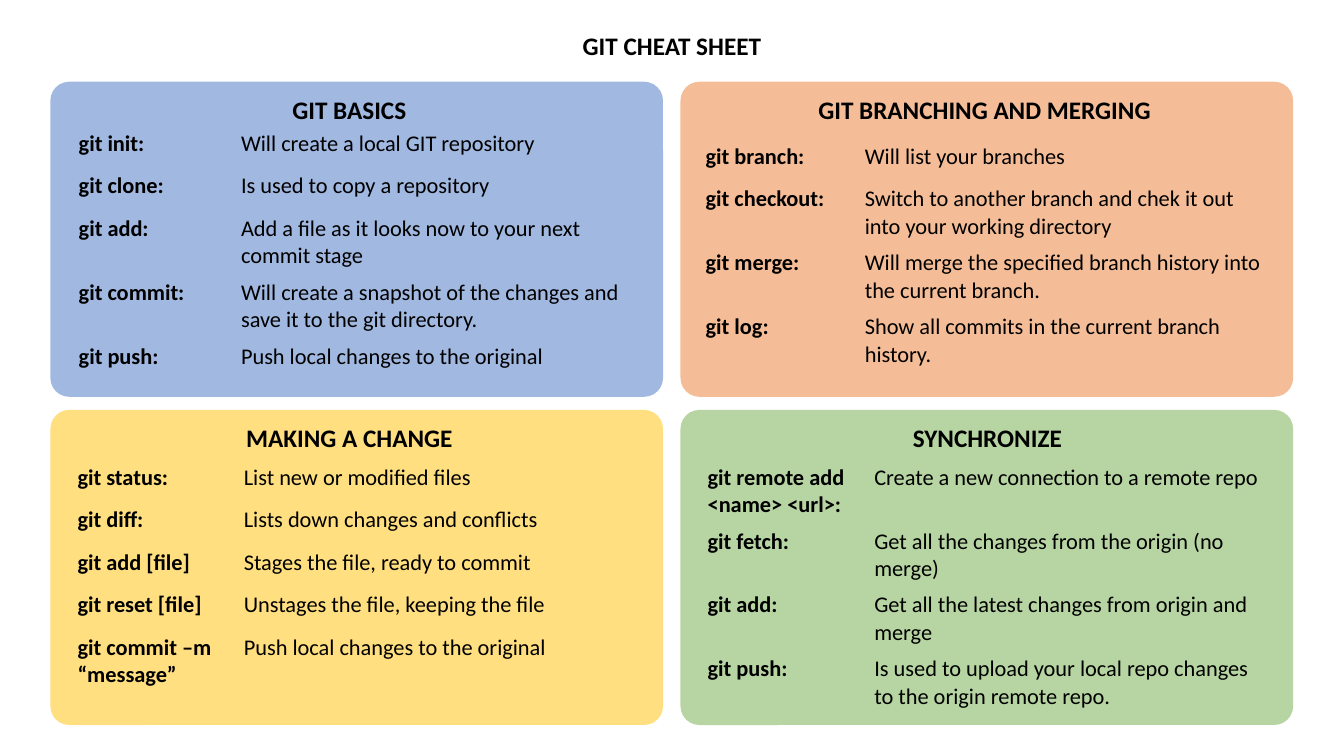
from dataclasses import dataclass

from lxml import etree
from pptx import Presentation
from pptx.dml.color import RGBColor
from pptx.enum.shapes import MSO_SHAPE
from pptx.enum.text import MSO_AUTO_SIZE, PP_ALIGN
from pptx.oxml.ns import qn
from pptx.util import Cm, Pt

ROUNDED = MSO_SHAPE.ROUNDED_RECTANGLE
CENTER = PP_ALIGN.CENTER
GROW = MSO_AUTO_SIZE.SHAPE_TO_FIT_TEXT
PLAIN_TABLE_STYLE = "{2D5ABB26-0587-4C30-8999-92F81FD0307C}"


@dataclass(frozen=True)
class Theme:
    font: str = "Calibri"
    heading_size: int = 18
    body_size: int = 16
    text: str = "000000"
    panel_opacity: int = 50
    blue: str = "4472C4"
    orange: str = "ED7D31"
    yellow: str = "FFC000"
    green: str = "70AD47"


THEME = Theme()

# Content: panels in reading order; table positions and label widths in cm
TITLE = "GIT CHEAT SHEET"
PANELS = [
    {"heading": "GIT BASICS", "color": THEME.blue,
     "table_at": (1.73, 3.15), "label_width": 4.09,
     "commands": [
         ("git init:", "Will create a local GIT repository"),
         ("git clone:", "Is used to copy a repository"),
         ("git add:", "Add a file as it looks now to your next commit stage"),
         ("git commit:", "Will create a snapshot of the changes and save it to the git directory."),
         ("git push:", "Push local changes to the original"),
     ]},
    {"heading": "GIT BRANCHING AND MERGING ", "color": THEME.orange,
     "table_at": (17.53, 3.48), "label_width": 4.01,
     "commands": [
         ("git branch:", "Will list your branches"),
         ("git checkout:", "Switch to another branch and chek it out into your working directory"),
         ("git merge:", "Will merge the specified branch history into the current branch."),
         ("git log:", "Show all commits in the current branch history."),
     ]},
    {"heading": "MAKING A CHANGE", "color": THEME.yellow,
     "table_at": (1.7, 11.56), "label_width": 4.19,
     "commands": [
         ("git status:", "List new or modified files"),
         ("git diff:", "Lists down changes and conflicts"),
         ("git add [file]", "Stages the file, ready to commit"),
         ("git reset [file]", "Unstages the file, keeping the file"),
         ("git commit –m “message”", "Push local changes to the original"),
     ]},
    {"heading": "SYNCHRONIZE", "color": THEME.green,
     "table_at": (17.58, 11.56), "label_width": 4.2,
     "commands": [
         ("git remote add\n<name> <url>:", "Create a new connection to a remote repo"),
         ("git fetch:", "Get all the changes from the origin (no merge)"),
         ("git add:", "Get all the latest changes from origin and merge"),
         ("git push:", "Is used to upload your local repo changes to the origin remote repo."),
     ]},
]

# Layout in cm
SLIDE_WIDTH, SLIDE_HEIGHT = 33.87, 19.05
PANEL_LEFT, PANEL_TOP = 1.27, 2.06
PANEL_WIDTH, PANEL_HEIGHT = 15.44, 7.94
COLUMN_STEP, ROW_STEP = 15.88, 8.27
CONTENT_WIDTH = 14.61
HEADING_LEFTS = (1.5, 17.58)
HEADING_OFFSET, HEADING_HEIGHT = 0.19, 1.03
TITLE_WIDTH, TITLE_TOP = 10.5, 0.64
TABLE_ROW_HEIGHT = 1.07


def style_text(text_frame, size, bold):
    for paragraph in text_frame.paragraphs:
        font = paragraph.font
        font.name, font.size, font.bold = THEME.font, Pt(size), bold
        font.color.rgb = RGBColor.from_string(THEME.text)


def add_heading(slide, text, left, top, width):
    box = slide.shapes.add_textbox(Cm(left), Cm(top), Cm(width), Cm(HEADING_HEIGHT))
    text_frame = box.text_frame
    text_frame.word_wrap = True
    text_frame.auto_size = GROW
    text_frame.text = text
    text_frame.paragraphs[0].alignment = CENTER
    style_text(text_frame, THEME.heading_size, True)


def add_panel(slide, color, left, top):
    panel = slide.shapes.add_shape(
        ROUNDED, Cm(left), Cm(top), Cm(PANEL_WIDTH), Cm(PANEL_HEIGHT))
    panel.adjustments[0] = 0.06
    panel.shadow.inherit = False
    panel.line.fill.background()
    panel.fill.solid()
    panel.fill.fore_color.rgb = RGBColor.from_string(color)
    solid_color = panel.fill._xPr.find(qn("a:solidFill"))[0]
    etree.SubElement(solid_color, qn("a:alpha"), val=str(THEME.panel_opacity * 1000))


def add_command_table(slide, commands, position, label_width):
    left, top = position
    table = slide.shapes.add_table(
        len(commands), 2, Cm(left), Cm(top), Cm(CONTENT_WIDTH),
        Cm(TABLE_ROW_HEIGHT * len(commands))).table
    table.first_row = table.horz_banding = False
    table._tbl.tblPr.find(qn("a:tableStyleId")).text = PLAIN_TABLE_STYLE
    table.columns[0].width = Cm(label_width)
    table.columns[1].width = Cm(CONTENT_WIDTH - label_width)
    for row, command in zip(table.rows, commands):
        row.height = Cm(TABLE_ROW_HEIGHT)
        for column, text in enumerate(command):
            cell = row.cells[column]
            cell.fill.background()
            cell.text_frame.text = text
            style_text(cell.text_frame, THEME.body_size, column == 0)


# Slide and title
presentation = Presentation()
presentation.slide_width, presentation.slide_height = Cm(SLIDE_WIDTH), Cm(SLIDE_HEIGHT)
slide = presentation.slides.add_slide(presentation.slide_layouts[6])
add_heading(slide, TITLE, (SLIDE_WIDTH - TITLE_WIDTH) / 2, TITLE_TOP, TITLE_WIDTH)

# Two-by-two grid of command panels
for index, panel in enumerate(PANELS):
    grid_row, grid_column = divmod(index, 2)
    top = PANEL_TOP + grid_row * ROW_STEP
    add_panel(slide, panel["color"], PANEL_LEFT + grid_column * COLUMN_STEP, top)
    add_heading(slide, panel["heading"], HEADING_LEFTS[grid_column],
                top + HEADING_OFFSET, CONTENT_WIDTH)
    add_command_table(slide, panel["commands"], panel["table_at"], panel["label_width"])

presentation.save("out.pptx")
